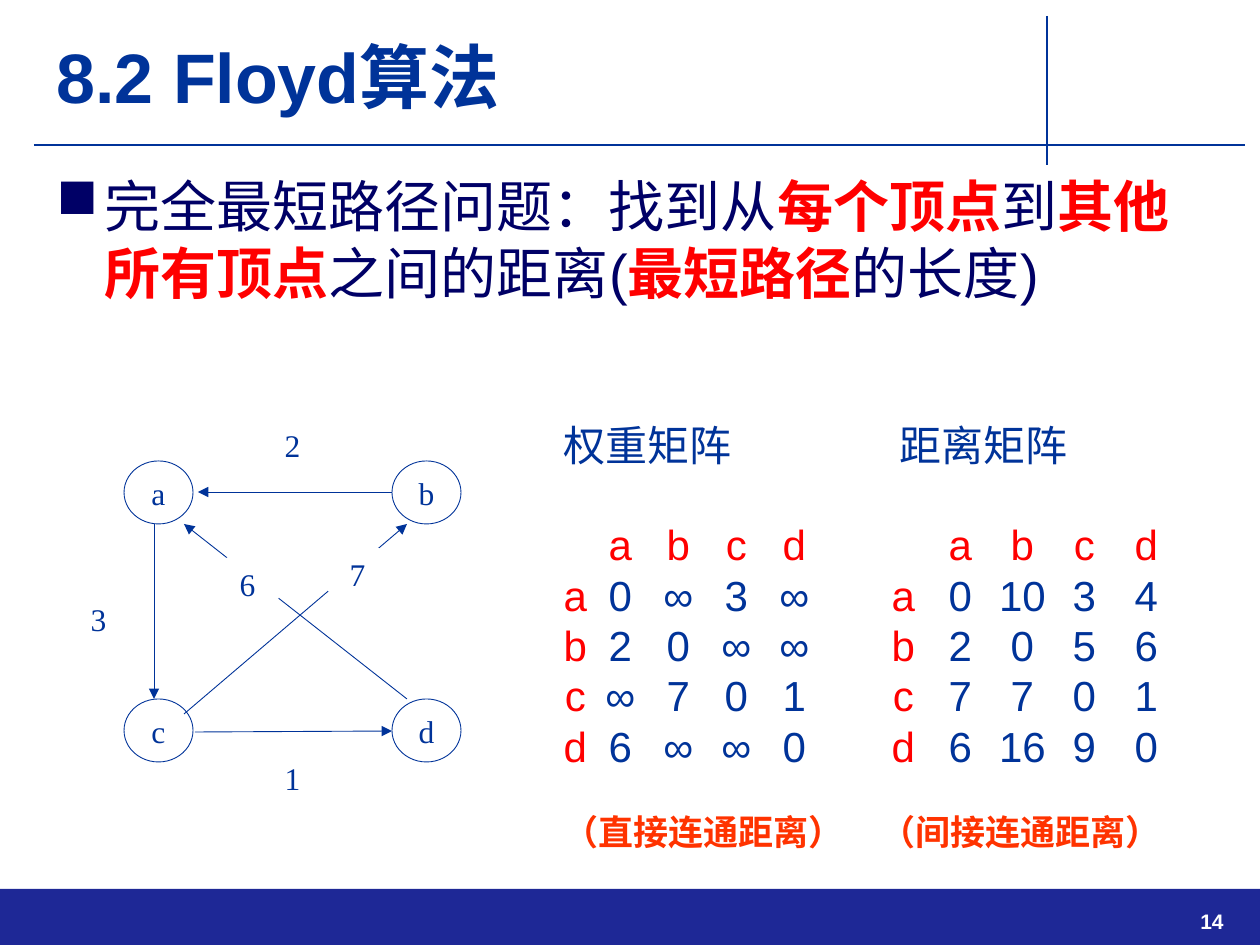
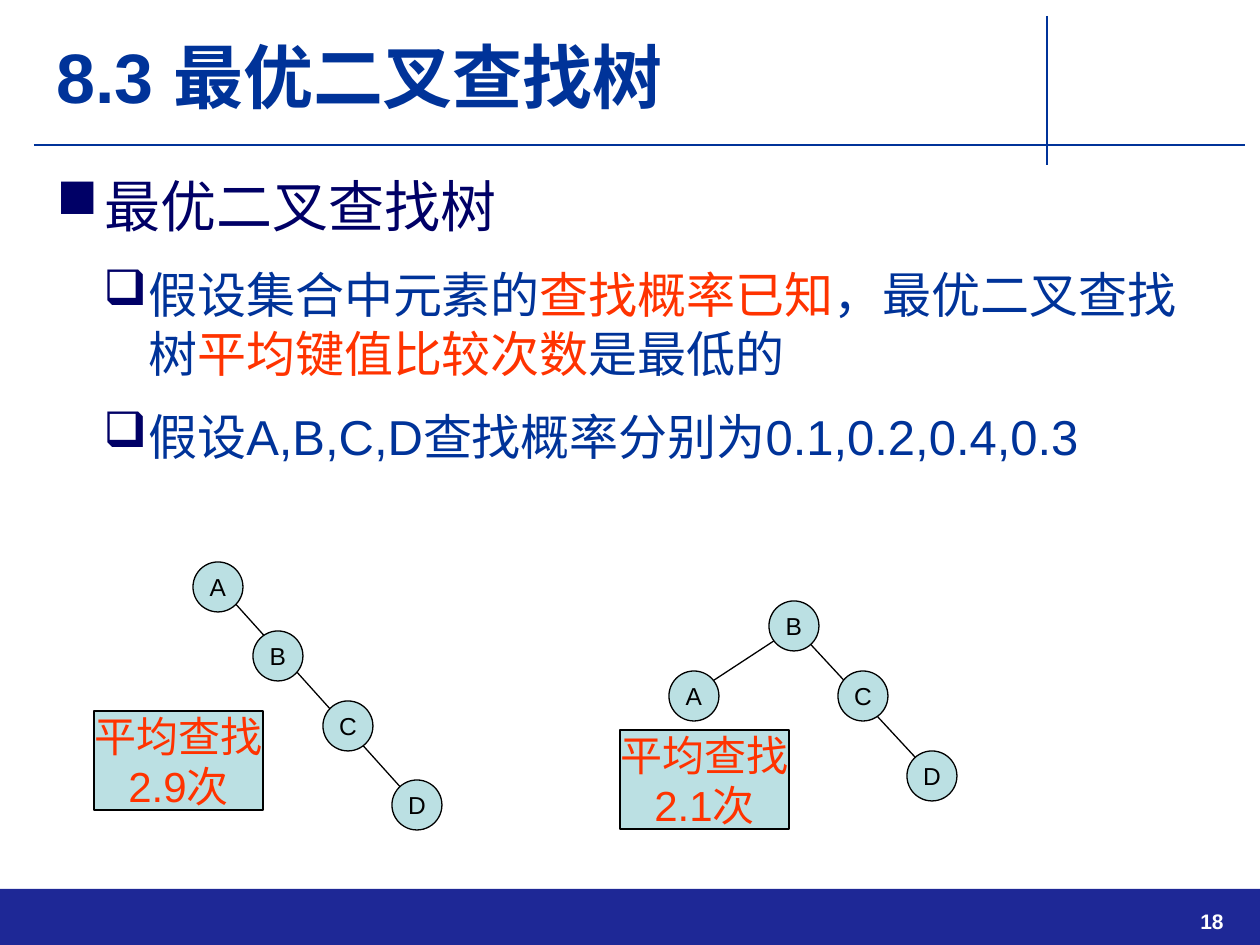
from pptx import Presentation
from pptx.dml.color import RGBColor
from pptx.enum.shapes import MSO_CONNECTOR, MSO_SHAPE
from pptx.enum.text import MSO_ANCHOR, PP_ALIGN
from pptx.oxml.ns import qn
from pptx.util import Emu, Pt
from lxml.etree import SubElement

COLORS = {
    "blue": "003399",
    "navy": "000066",
    "band": "1E2896",
    "red": "FF0000",
    "orange": "FF3300",
    "teal": "BBE0E3",
    "black": "000000",
    "white": "FFFFFF",
}
SANS, SERIF = "Arial", "Times New Roman"
EMU_PER_PX = 914400 / 126
WIDTH, HEIGHT = 1260, 945
BODY_LEFT, BODY_TOP, BODY_WIDTH = 44, 165, 1191
BULLETS = [
    {"char": "■", "margin": 48, "hang": 48, "size": 32, "space": 8},
    {"char": "❑", "margin": 92, "hang": 45, "size": 28, "space": 7},
]


def px(length):
    """Turn pixels into EMU."""
    return Emu(round(length * EMU_PER_PX))


def rgb(name):
    """Look up a palette colour."""
    return RGBColor.from_string(COLORS[name])


def add_run(paragraph, text, size, color, bold=False, font=SANS):
    """Append one formatted run."""
    run = paragraph.add_run()
    run.text = text
    run.font.size, run.font.bold, run.font.name = Pt(size), bold, font
    run.font.color.rgb = rgb(color)


def next_paragraph(frame, first):
    """Return the first paragraph of a frame, or a new one."""
    return frame.paragraphs[0] if first else frame.add_paragraph()


def add_text_box(slide, left, top, width, height):
    """Add a wrapping text box and return its frame."""
    frame = slide.shapes.add_textbox(px(left), px(top), px(width), px(height)).text_frame
    frame.word_wrap = True
    return frame


def add_line(slide, start, end, color, weight, arrow=False):
    """Draw a straight line, with an arrowhead at its end if wanted."""
    line = slide.shapes.add_connector(
        MSO_CONNECTOR.STRAIGHT, *(px(value) for value in (*start, *end)))
    line.line.color.rgb, line.line.width = rgb(color), Pt(weight)
    properties = line._element.spPr
    if arrow:
        SubElement(properties.find(qn("a:ln")), qn("a:tailEnd"), type="triangle")
    SubElement(properties, qn("a:effectLst"))


def add_block(slide, preset, box, fill, outline=None, weight=0.75):
    """Add a flat preset shape."""
    block = slide.shapes.add_shape(preset, *(px(value) for value in box))
    block.shadow.inherit = False
    block.fill.solid()
    block.fill.fore_color.rgb = rgb(fill)
    if outline:
        block.line.color.rgb, block.line.width = rgb(outline), Pt(weight)
    else:
        block.line.fill.background()
    return block


def add_caption(block, lines, size, color, font=SANS):
    """Centre unwrapped lines of text in a shape."""
    frame = block.text_frame
    frame.word_wrap = False
    frame.vertical_anchor = MSO_ANCHOR.MIDDLE
    for index, text in enumerate(lines):
        paragraph = next_paragraph(frame, index == 0)
        paragraph.alignment = PP_ALIGN.CENTER
        add_run(paragraph, text, size, color, font=font)


def add_framed_slide(deck, heading, number):
    """Add a slide with its title, rules, footer band and page number."""
    slide = deck.slides.add_slide(deck.slide_layouts[5])
    add_block(slide, MSO_SHAPE.RECTANGLE, (0, 889, WIDTH, HEIGHT - 889), "band")
    add_line(slide, (34, 145), (1245, 145), "blue", 1.5)
    add_line(slide, (1047, 16), (1047, 165), "blue", 1.5)

    title = slide.shapes.title
    title.left, title.top, title.width, title.height = px(44), px(26), px(982), px(100)
    title.text_frame.vertical_anchor = MSO_ANCHOR.MIDDLE
    title_line = title.text_frame.paragraphs[0]
    title_line.alignment = PP_ALIGN.LEFT
    add_run(title_line, heading, 40, "blue", True)

    page = add_text_box(slide, 1126, 901, 110, 40)
    page.vertical_anchor = MSO_ANCHOR.MIDDLE
    page.paragraphs[0].alignment = PP_ALIGN.RIGHT
    add_run(page.paragraphs[0], number, 12, "white", True)
    return slide


def add_bullets(slide, height, points):
    """Write the body as (level, runs) bullet points."""
    frame = add_text_box(slide, BODY_LEFT, BODY_TOP, BODY_WIDTH, height)
    for index, (level, runs) in enumerate(points):
        style = BULLETS[level]
        paragraph = next_paragraph(frame, index == 0)
        paragraph.level = level
        properties = paragraph._p.get_or_add_pPr()
        properties.set("marL", str(px(style["margin"])))
        properties.set("indent", str(-px(style["hang"])))
        bullet_color = SubElement(properties, qn("a:buClr"))
        SubElement(bullet_color, qn("a:srgbClr"), val=COLORS["navy"])
        SubElement(properties, qn("a:buChar"), char=style["char"])
        if index:
            paragraph.space_before = Pt(style["space"])
        paragraph.space_after = Pt(style["space"])
        for text, color, bold in runs:
            add_run(paragraph, text, style["size"], color, bold)


def add_weighted_graph(slide, left, top):
    """Draw the directed graph with its edge weights."""
    nodes = {"a": (60, 48), "b": (328, 48), "c": (60, 286), "d": (328, 286)}
    edges = [
        ((328, 79), (134, 79)),
        ((131, 319), (328, 318)),
        ((90, 111), (90, 286)),
        ((343, 286), (120, 111)),
        ((120, 301), (343, 111)),
    ]
    weights = {"2": (194, 0), "3": (0, 174), "6": (149, 139), "7": (259, 129), "1": (194, 333)}

    def add_ovals(labels, outline):
        for label, (x, y) in labels.items():
            oval = add_block(slide, MSO_SHAPE.OVAL, (left + x, top + y, 69, 63),
                             "white", outline, 0.5)
            add_caption(oval, [label], 18, "blue", SERIF)

    add_ovals(nodes, "blue")
    for (x1, y1), (x2, y2) in edges:
        add_line(slide, (left + x1, top + y1), (left + x2, top + y2), "blue", 0.5, True)
    add_ovals(weights, "white")


def add_matrix(slide, box, heading, indent, rows, label_center, first_center, pitch, note):
    """Set a labelled matrix on centred tab stops under its heading."""
    frame = add_text_box(slide, *box)
    heading_line = frame.paragraphs[0]
    heading_line._p.get_or_add_pPr().set("marL", str(px(indent)))
    add_run(heading_line, heading, 24, "blue")

    stops = [label_center] + [first_center + pitch * column for column in range(4)]
    vertices = "abcd"
    for label, values in [("", vertices), *zip(vertices, rows)]:
        line = frame.add_paragraph()
        tabs = SubElement(line._p.get_or_add_pPr(), qn("a:tabLst"))
        for stop in stops:
            SubElement(tabs, qn("a:tab"), pos=str(px(stop)), algn="ctr")
        if not label:
            line.space_before = Pt(28)
        add_run(line, "\t" + label, 24, "red")
        add_run(line, "\t" + "\t".join(values), 24, "blue" if label else "red")

    note_line = frame.add_paragraph()
    note_line.space_before = Pt(23)
    add_run(note_line, note, 20, "orange", True, SERIF)


def add_search_tree(slide, left, top, branches, nodes, summary_at, average):
    """Draw a binary search tree and its average search count."""
    for (x1, y1), (x2, y2) in branches:
        add_line(slide, (left + x1, top + y1), (left + x2, top + y2), "black", 0.75)
    for key, (x, y) in nodes.items():
        node = add_block(slide, MSO_SHAPE.OVAL, (left + x, top + y, 50, 50), "teal", "black")
        add_caption(node, [key], 14, "black")
    x, y = summary_at
    summary = add_block(slide, MSO_SHAPE.RECTANGLE, (left + x, top + y, 169, 99),
                        "teal", "black")
    add_caption(summary, ["平均查找", average], 24, "orange")


def build_floyd(deck):
    """Build the slide on all-pairs shortest paths."""
    slide = add_framed_slide(deck, "8.2 Floyd算法", "14")
    add_bullets(slide, 188, [(0, [
        ("完全最短路径问题：找到从", "navy", False),
        ("每个顶点", "red", True),
        ("到", "navy", False),
        ("其他所有顶点", "red", True),
        ("之间的距离(", "navy", False),
        ("最短路径", "red", True),
        ("的长度)", "navy", False),
    ])])
    add_weighted_graph(slide, 64, 413)
    add_matrix(slide, (551, 413, 307, 450), "权重矩阵", 0,
               ["0∞3∞", "20∞∞", "∞701", "6∞∞0"], 12, 57, 58, "（直接连通距离）")
    distances = [("0", "10", "3", "4"), "2056", "7701", ("6", "16", "9", "0")]
    add_matrix(slide, (868, 413, 318, 450), "距离矩阵", 19,
               distances, 23, 80, 62, "（间接连通距离）")


def build_optimal_tree(deck):
    """Build the slide on optimal binary search trees."""
    slide = add_framed_slide(deck, "8.3 最优二叉查找树", "18")
    add_bullets(slide, 714, [
        (0, [("最优二叉查找树", "navy", False)]),
        (1, [
            ("假设集合中元素的", "blue", False),
            ("查找概率已知", "orange", False),
            ("，最优二叉查找树", "blue", False),
            ("平均键值比较次数", "orange", False),
            ("是最低的", "blue", False),
        ]),
        (1, [("假设A,B,C,D查找概率分别为0.1,0.2,0.4,0.3", "blue", False)]),
    ])
    add_search_tree(slide, 94, 562, [((139, 39), (318, 238))],
                    {"A": (99, 0), "B": (159, 69), "C": (229, 139), "D": (298, 218)},
                    (0, 149), "2.9次")
    add_search_tree(slide, 620, 601, [((79, 89), (169, 30)), ((169, 20), (307, 169))],
                    {"A": (49, 70), "B": (149, 0), "C": (218, 70), "D": (287, 150)},
                    (0, 129), "2.1次")


def main():
    """Build and save the deck."""
    deck = Presentation()
    deck.slide_width, deck.slide_height = px(WIDTH), px(HEIGHT)
    build_floyd(deck)
    build_optimal_tree(deck)
    deck.save("out.pptx")


if __name__ == "__main__":
    main()
